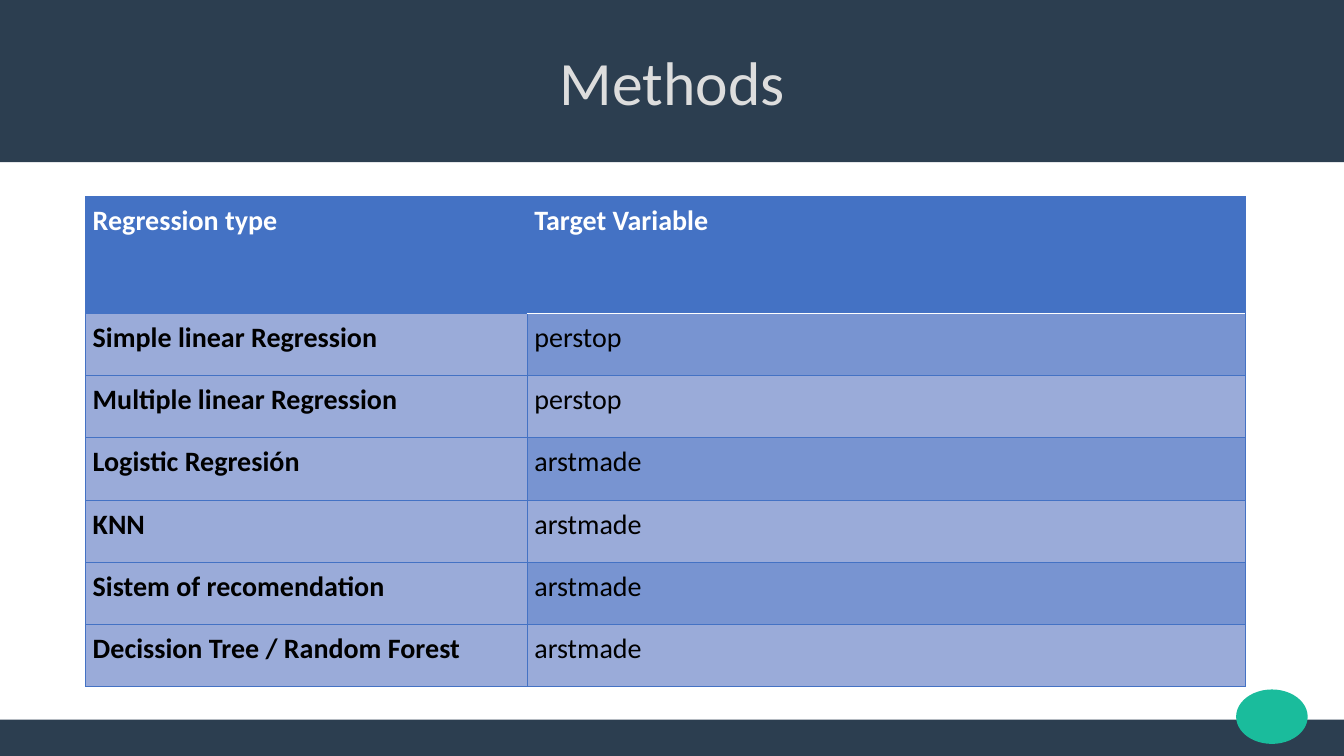
from dataclasses import dataclass

import lxml.etree
import pptx
import pptx.dml.color
import pptx.enum.shapes
import pptx.enum.text
import pptx.oxml.ns
import pptx.util

Inches = pptx.util.Inches
Pt = pptx.util.Pt
SHAPES = pptx.enum.shapes.MSO_SHAPE


@dataclass(frozen=True)
class Theme:
    """Colours, font and type sizes of the slide."""
    font: str = "Calibri"
    title_size: int = 44
    table_size: int = 20
    navy: str = "2C3E50"
    green: str = "1ABC9C"
    title: str = "DDDDDD"
    blue: str = "4472C4"
    light_band: str = "9AABD9"
    dark_band: str = "7894D1"
    white: str = "FFFFFF"
    black: str = "000000"


THEME = Theme()
SLIDE_WIDTH, SLIDE_HEIGHT = 13.33, 7.5
HEADER_HEIGHT, FOOTER_HEIGHT = 1.61, 0.36
METHODS = [
    ("Regression type", "Target Variable"),
    ("Simple linear Regression", "perstop"),
    ("Multiple linear Regression", "perstop"),
    ("Logistic Regresión", "arstmade"),
    ("KNN", "arstmade"),
    ("Sistem of recomendation", "arstmade"),
    ("Decission Tree / Random Forest", "arstmade"),
]


def rgb(color):
    """Turn a hexadecimal string into a colour."""
    return pptx.dml.color.RGBColor.from_string(color)


def write_text(text_frame, text, *, size, color, bold=False, align=None, spacing=1.0):
    """Write one formatted paragraph into a text frame."""
    paragraph = text_frame.paragraphs[0]
    paragraph.alignment = align
    paragraph.line_spacing = spacing
    run = paragraph.add_run()
    run.text = text
    run.font.name = THEME.font
    run.font.size = Pt(size)
    run.font.bold = bold
    run.font.color.rgb = rgb(color)


def add_block(slide, kind, box, color):
    """Add a plain filled shape in the box."""
    shape = slide.shapes.add_shape(kind, *map(Inches, box))
    shape.shadow.inherit = False
    shape.fill.solid()
    shape.fill.fore_color.rgb = rgb(color)
    shape.line.fill.background()


def add_frame(slide, box):
    """Add the header and footer bands and the page badge."""
    left, top, width, height = box
    bottom = top + height
    add_block(slide, SHAPES.RECTANGLE,
              (left, bottom - FOOTER_HEIGHT, width, FOOTER_HEIGHT), THEME.navy)
    add_block(slide, SHAPES.RECTANGLE, (left, top, width, HEADER_HEIGHT), THEME.navy)
    add_block(slide, SHAPES.OVAL,
              (left + width - 1.07, bottom - 0.66, 0.71, 0.54), THEME.green)


def add_title(slide, box, text):
    """Place the title placeholder in front of the header band."""
    title = slide.shapes.title
    title.left, title.top, title.width, title.height = map(Inches, box)
    title.text_frame.vertical_anchor = pptx.enum.text.MSO_ANCHOR.MIDDLE
    write_text(title.text_frame, text, size=THEME.title_size, color=THEME.title,
               align=pptx.enum.text.PP_ALIGN.CENTER)
    slide.shapes._spTree.append(title._element)


def set_border(cell, side, color, width):
    """Draw one side of a cell border."""
    properties = cell._tc.get_or_add_tcPr()
    qualified = pptx.oxml.ns.qn
    line = lxml.etree.Element(qualified(f"a:ln{side}"), w=str(Pt(width)))
    fill = lxml.etree.SubElement(line, qualified("a:solidFill"))
    lxml.etree.SubElement(fill, qualified("a:srgbClr"), val=color)
    properties.insert("LRTB".index(side), line)


def format_cell(cell, text, row, column):
    """Fill, frame and write a cell according to its place."""
    header = row == 0
    dark = column == 1 and row % 2 == 1
    cell.fill.solid()
    cell.fill.fore_color.rgb = rgb(
        THEME.blue if header else THEME.dark_band if dark else THEME.light_band)
    cell.margin_left = cell.margin_right = Inches(0.07)
    cell.margin_top = cell.margin_bottom = Inches(0.05)
    for side in "LRTB":
        below_header = column == 1 and (row, side) in ((0, "B"), (1, "T"))
        set_border(cell, side, THEME.white if below_header else THEME.blue,
                   0.96 if below_header else 0.5)
    write_text(cell.text_frame, text, size=THEME.table_size, spacing=1.07,
               color=THEME.white if header else THEME.black,
               bold=header or column == 0)


def add_methods_table(slide, box, rows):
    """Add the table of methods with a tall header row."""
    left, top, width, height = box
    first_width, header_height = 4.38, 1.16
    table = slide.shapes.add_table(len(rows), 2, *map(Inches, box)).table
    table.columns[0].width = Inches(first_width)
    table.columns[1].width = Inches(width - first_width)
    row_height = (height - header_height) / (len(rows) - 1)
    for row, texts in enumerate(rows):
        table.rows[row].height = Inches(row_height if row else header_height)
        for column, text in enumerate(texts):
            format_cell(table.cell(row, column), text, row, column)


def main():
    """Build the slide and save it."""
    presentation = pptx.Presentation()
    presentation.slide_width = Inches(SLIDE_WIDTH)
    presentation.slide_height = Inches(SLIDE_HEIGHT)
    slide = presentation.slides.add_slide(presentation.slide_layouts[5])
    add_frame(slide, (0, 0, SLIDE_WIDTH, SLIDE_HEIGHT))
    add_methods_table(slide, (0.85, 1.95, 11.5, 4.86), METHODS)
    add_title(slide, (0.92, 0.08, 11.5, 1.45), "Methods")
    presentation.save("out.pptx")


if __name__ == "__main__":
    main()
